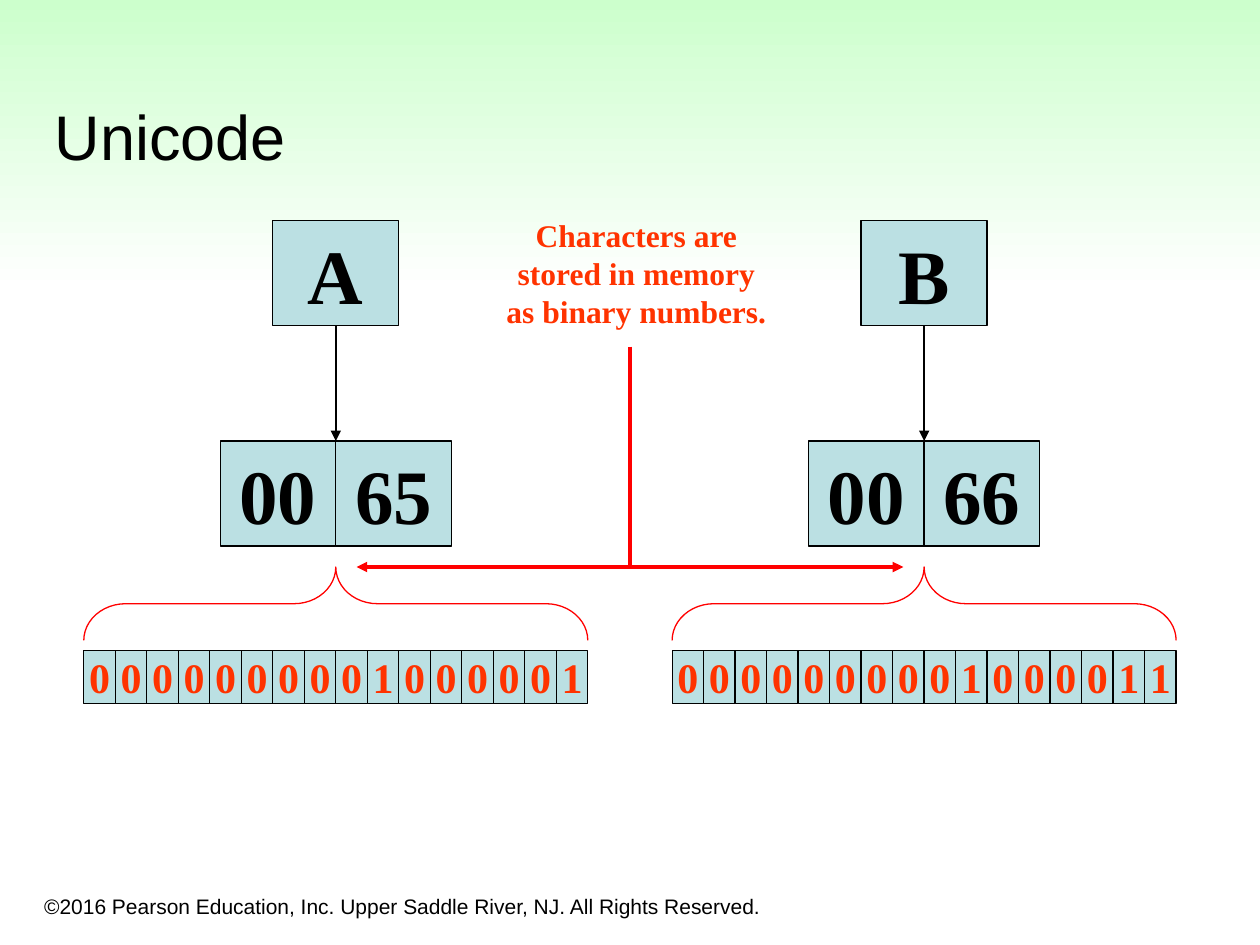
from dataclasses import dataclass

from lxml import etree
from pptx import Presentation
from pptx.dml.color import RGBColor
from pptx.enum.shapes import MSO_CONNECTOR, MSO_SHAPE
from pptx.enum.text import MSO_ANCHOR, PP_ALIGN
from pptx.oxml.ns import qn
from pptx.util import Cm, Pt

STRAIGHT = MSO_CONNECTOR.STRAIGHT
RECTANGLE = MSO_SHAPE.RECTANGLE
BAND = MSO_SHAPE.PENTAGON
BRACE = MSO_SHAPE.RIGHT_BRACE
TOP, MIDDLE, BOTTOM = MSO_ANCHOR.TOP, MSO_ANCHOR.MIDDLE, MSO_ANCHOR.BOTTOM
LEFT, CENTER = PP_ALIGN.LEFT, PP_ALIGN.CENTER


@dataclass(frozen=True)
class Theme:
    sans: str = "Arial"
    serif: str = "Times New Roman"
    black: str = "000000"
    white: str = "FFFFFF"
    mint: str = "CCFFCC"
    cell: str = "BBE0E3"
    orange: str = "FF3300"
    red: str = "FF0000"
    title: int = 36
    code: int = 44
    bit: int = 24
    callout: int = 18
    footer: int = 12
    thin: float = 0.75
    arrow: float = 1.5
    pointer: float = 2


THEME = Theme()

TITLE = "Unicode"
FOOTER = "©2016 Pearson Education, Inc. Upper Saddle River, NJ. All Rights Reserved."
CALLOUT = [["Characters are"], ["stored in memory", "as binary numbers."]]
CHARACTERS = [
    {"center": 6.77, "letter": "A", "bytes": ["00", "65"], "bits": "0000000001000001"},
    {"center": 18.63, "letter": "B", "bytes": ["00", "66"], "bits": "0000000001000011"},
]

SLIDE_WIDTH, SLIDE_HEIGHT = 25.4, 19.05
LETTER_TOP, BYTE_TOP, BIT_TOP = 4.45, 8.89, 13.12
LETTER_WIDTH, BYTE_WIDTH, BIT_WIDTH = 2.54, 2.33, 0.635
BOX_HEIGHT, BIT_HEIGHT = 2.12, 1.06
BRACE_DEPTH, BRACE_MIDDLE = 1.48, 12.17
POINTER_TOP, POINTER_BOTTOM, POINTER_GAP = 6.99, 11.43, 0.42


def color(value):
    return RGBColor.from_string(value)


def write(shape, paragraphs, size, font, tint, bold=False, align=LEFT, anchor=TOP, wrap=False):
    frame = shape.text_frame
    frame.word_wrap = wrap
    frame.vertical_anchor = anchor
    for index, lines in enumerate(paragraphs):
        paragraph = frame.add_paragraph() if index else frame.paragraphs[0]
        paragraph.alignment = align
        for position, line in enumerate(lines):
            if position:
                paragraph.add_line_break()
            run = paragraph.add_run()
            run.text = line
            run.font.size = Pt(size)
            run.font.name = font
            run.font.bold = bold
            run.font.color.rgb = color(tint)


def add_text(shapes, box, paragraphs, *style, **layout):
    shape = shapes.add_textbox(*map(Cm, box))
    write(shape, paragraphs, *style, **layout)


def add_cells(shapes, texts, center, top, width, height, size, tint):
    left = center - width * len(texts) / 2
    for index, text in enumerate(texts):
        cell = shapes.add_shape(
            RECTANGLE, Cm(left + index * width), Cm(top), Cm(width), Cm(height))
        cell.shadow.inherit = False
        cell.fill.solid()
        cell.fill.fore_color.rgb = color(THEME.cell)
        cell.line.color.rgb = color(THEME.black)
        cell.line.width = Pt(THEME.thin)
        write(cell, [[text]], size, THEME.serif, tint, True, CENTER, MIDDLE)


def add_line(shapes, start, end, tint, width, ends=()):
    connector = shapes.add_connector(STRAIGHT, *map(Cm, start + end))
    connector.line.color.rgb = color(tint)
    connector.line.width = Pt(width)
    properties = connector.line._get_or_add_ln()
    for end_name in ends:
        etree.SubElement(properties, qn(f"a:{end_name}"), type="triangle")
    etree.SubElement(connector._element.spPr, qn("a:effectLst"))


def add_band(shapes):
    band = shapes.add_shape(BAND, Cm(0), Cm(-0.03), Cm(SLIDE_WIDTH), Cm(5.92))
    band.adjustments[0] = 0
    band.shadow.inherit = False
    band.line.fill.background()
    band.fill.gradient()
    band.fill.gradient_angle = 270
    for stop, tint, position in zip(
            band.fill.gradient_stops, (THEME.mint, THEME.white), (0, 1)):
        stop.color.rgb = color(tint)
        stop.position = position


def add_brace(shapes, center, span):
    brace = shapes.add_shape(
        BRACE, Cm(center - BRACE_DEPTH / 2), Cm(BRACE_MIDDLE - span / 2),
        Cm(BRACE_DEPTH), Cm(span))
    brace.rotation = 270
    brace.adjustments[0] = 0.57
    brace.adjustments[1] = 0.5
    brace.shadow.inherit = False
    brace.fill.background()
    brace.line.color.rgb = color(THEME.red)
    brace.line.width = Pt(THEME.thin)


def add_character(shapes, center, letter, bytes, bits):
    add_cells(shapes, [letter], center, LETTER_TOP, LETTER_WIDTH, BOX_HEIGHT,
              THEME.code, THEME.black)
    add_cells(shapes.add_group_shape().shapes, bytes, center, BYTE_TOP, BYTE_WIDTH,
              BOX_HEIGHT, THEME.code, THEME.black)
    add_line(shapes, (center, LETTER_TOP + BOX_HEIGHT), (center, BYTE_TOP),
             THEME.black, THEME.arrow, ["tailEnd"])
    add_cells(shapes.add_group_shape().shapes, bits, center, BIT_TOP, BIT_WIDTH,
              BIT_HEIGHT, THEME.bit, THEME.orange)
    add_brace(shapes, center, BIT_WIDTH * len(bits))


def add_callout(shapes):
    middle = SLIDE_WIDTH / 2
    first, last = (character["center"] for character in CHARACTERS)
    add_text(shapes, (9.96, 4.24, 5.74, 2.54), CALLOUT, THEME.callout, THEME.serif,
             THEME.orange, bold=True, align=CENTER)
    add_line(shapes, (middle, POINTER_TOP), (middle, POINTER_BOTTOM),
             THEME.red, THEME.pointer)
    add_line(shapes, (first + POINTER_GAP, POINTER_BOTTOM),
             (last - POINTER_GAP, POINTER_BOTTOM),
             THEME.red, THEME.pointer, ["headEnd", "tailEnd"])


def main():
    presentation = Presentation()
    presentation.slide_width = Cm(SLIDE_WIDTH)
    presentation.slide_height = Cm(SLIDE_HEIGHT)
    slide = presentation.slides.add_slide(presentation.slide_layouts[6])
    shapes = slide.shapes
    add_band(shapes)
    add_text(shapes, (0.64, 17.58, 15.44, 1.07), [[FOOTER]], THEME.footer, THEME.sans,
             THEME.black, anchor=BOTTOM, wrap=True)
    add_text(shapes, (0.85, 0.85, 23.92, 2.77), [[TITLE]], THEME.title, THEME.sans,
             THEME.black, anchor=BOTTOM, wrap=True)
    for character in CHARACTERS:
        add_character(shapes, **character)
    add_callout(shapes.add_group_shape().shapes)
    presentation.save("out.pptx")


if __name__ == "__main__":
    main()
